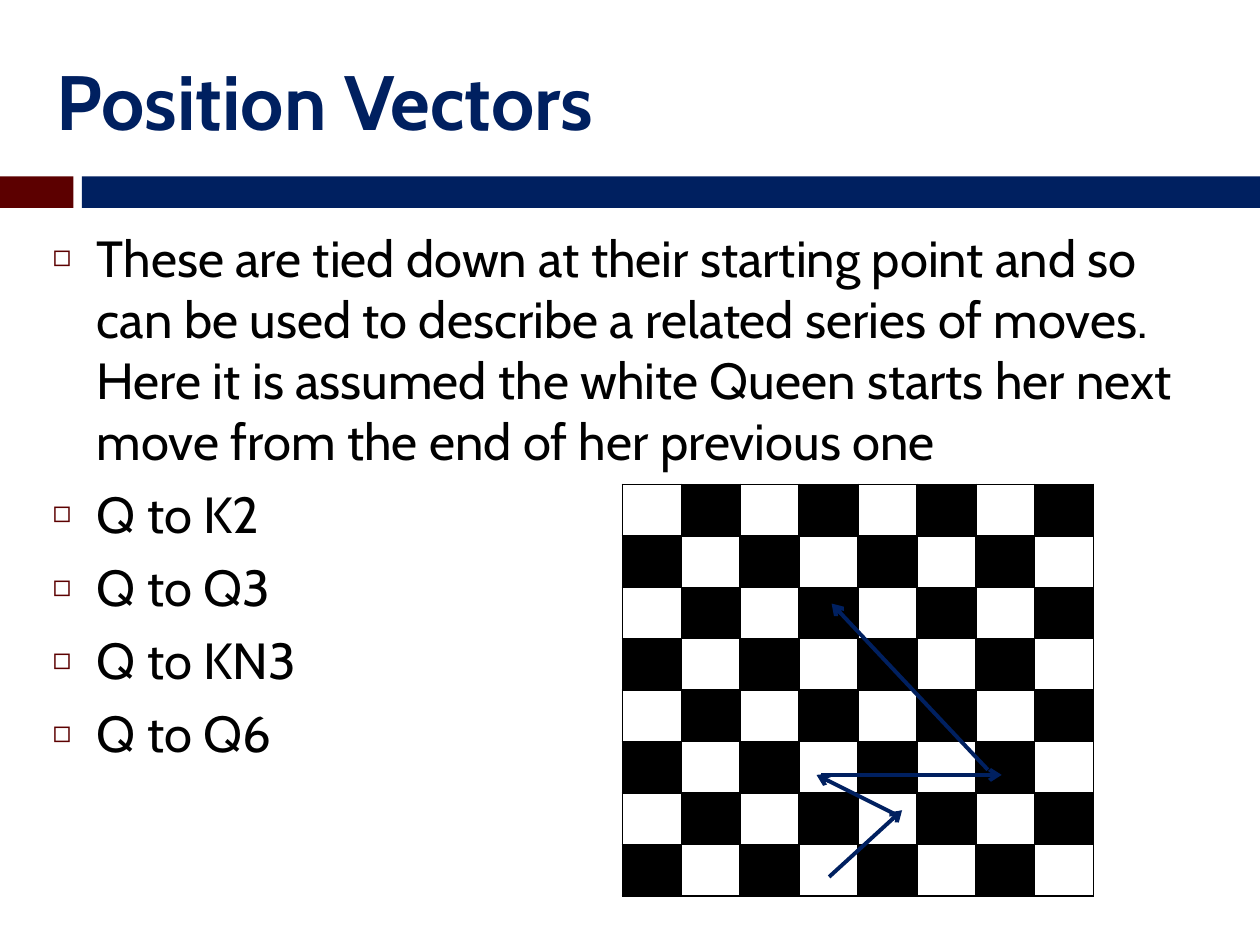
from dataclasses import dataclass
from typing import NamedTuple

from lxml.etree import SubElement
from pptx import Presentation
from pptx.dml.color import RGBColor
from pptx.enum.shapes import MSO_CONNECTOR, MSO_SHAPE
from pptx.enum.text import MSO_ANCHOR, MSO_AUTO_SIZE, PP_ALIGN
from pptx.oxml.ns import qn
from pptx.util import Pt


@dataclass(frozen=True)
class Theme:
    font: str = "Cabin"
    navy: str = "002060"
    maroon: str = "5C0000"
    black: str = "000000"
    white: str = "FFFFFF"
    title_size: float = 44
    body_size: float = 29
    cell_size: float = 8


class Box(NamedTuple):
    left: float
    top: float
    width: float
    height: float

    def points(self) -> list:
        return [Pt(value) for value in self]


class Move(NamedTuple):
    start: tuple[float, float]
    end: tuple[float, float]


THEME = Theme()
PAGE_WIDTH, PAGE_HEIGHT = 720, 540
BAND_TOP, BAND_HEIGHT = 100.8, 18
BANDS = [
    (Box(0, BAND_TOP, 42, BAND_HEIGHT), THEME.maroon),
    (Box(46.8, BAND_TOP, PAGE_WIDTH - 46.8, BAND_HEIGHT), THEME.navy),
]
TITLE_BOX = Box(25.2, 18, 674.64, 77.76)
BODY_BOX = Box(23.04, 126, 677.5, 354.24)
BOARD_BOX = Box(355.7, 276.8, 269.2, 235.2)
SQUARES = 8
INDENT = 25.2
BULLETS = [
    "These are tied down at their starting point and so can be used to describe "
    "a related series of moves. Here it is assumed the white Queen starts her "
    "next move from the end of her previous one",
    "Q to K2",
    "Q to Q3",
    "Q to KN3",
    "Q to Q6",
]
QUEEN_MOVES = [
    Move((473.8, 501.1), (515.5, 463)),
    Move((511.2, 465.1), (466.6, 442.8)),
    Move((469.4, 442.8), (572.4, 442.8)),
    Move((564.5, 439.9), (475.2, 344.9)),
]


def rgb(color: str) -> RGBColor:
    return RGBColor.from_string(color)


def apply_format(target, values: dict) -> None:
    for name, value in values.items():
        setattr(target, name, value)


def add_band(page, box: Box, color: str) -> None:
    band = page.shapes.add_shape(MSO_SHAPE.RECTANGLE, *box.points())
    band.shadow.inherit = False
    band.fill.solid()
    band.fill.fore_color.rgb = rgb(color)
    band.line.fill.background()


def write_span(para, text: str, size: float, color: str, bold: bool) -> None:
    span = para.add_run()
    span.text = text
    apply_format(span.font, {"name": THEME.font, "size": Pt(size), "bold": bold})
    span.font.color.rgb = rgb(color)


def write_title(page, text: str) -> None:
    title = page.shapes.title
    apply_format(title, dict(zip(("left", "top", "width", "height"), TITLE_BOX.points())))
    apply_format(title.text_frame, {
        "vertical_anchor": MSO_ANCHOR.MIDDLE,
        "auto_size": MSO_AUTO_SIZE.NONE,
        "word_wrap": True,
    })
    para = title.text_frame.paragraphs[0]
    para.alignment = PP_ALIGN.LEFT
    write_span(para, text, THEME.title_size, THEME.navy, True)


def add_bullet_mark(para) -> None:
    properties = para._p.get_or_add_pPr()
    properties.set("marL", str(Pt(INDENT)))
    properties.set("indent", str(-Pt(INDENT)))
    color = SubElement(properties, qn("a:buClr"))
    SubElement(color, qn("a:srgbClr"), val=THEME.maroon)
    SubElement(properties, qn("a:buSzPct"), val="60000")
    SubElement(properties, qn("a:buFont"), typeface=THEME.font)
    SubElement(properties, qn("a:buChar"), char="◻")


def add_bullets(page, texts: list[str]) -> None:
    frame = page.shapes.add_textbox(*BODY_BOX.points()).text_frame
    frame.word_wrap = True
    for index, text in enumerate(texts):
        para = frame.add_paragraph() if index else frame.paragraphs[0]
        para.space_before = Pt(7)
        add_bullet_mark(para)
        write_span(para, text, THEME.body_size, THEME.black, False)


def add_cell_borders(cell) -> None:
    """Call before filling the cell: borders precede the fill in its properties."""
    properties = cell._tc.get_or_add_tcPr()
    for side in ("lnL", "lnR", "lnT", "lnB"):
        border = SubElement(properties, qn(f"a:{side}"), w=str(Pt(1)))
        fill = SubElement(border, qn("a:solidFill"))
        SubElement(fill, qn("a:srgbClr"), val=THEME.black)


def add_chessboard(page) -> None:
    board = page.shapes.add_table(SQUARES, SQUARES, *BOARD_BOX.points()).table
    apply_format(board, {"first_row": False, "horz_banding": False})
    for column in board.columns:
        column.width = Pt(BOARD_BOX.width / SQUARES)
    for row_index, row in enumerate(board.rows):
        row.height = Pt(BOARD_BOX.height / SQUARES)
        for column_index, cell in enumerate(row.cells):
            apply_format(cell, {"margin_top": 0, "margin_bottom": 0})
            cell.text_frame.paragraphs[0].font.size = Pt(THEME.cell_size)
            add_cell_borders(cell)
            dark = (row_index + column_index) % 2
            cell.fill.solid()
            cell.fill.fore_color.rgb = rgb(THEME.black if dark else THEME.white)


def add_move_arrow(page, move: Move) -> None:
    ends = [Pt(value) for value in (*move.start, *move.end)]
    arrow = page.shapes.add_connector(MSO_CONNECTOR.STRAIGHT, *ends)
    arrow.line.color.rgb = rgb(THEME.navy)
    arrow.line.width = Pt(2.25)
    SubElement(arrow.line._get_or_add_ln(), qn("a:tailEnd"), type="arrow")
    SubElement(arrow._element.spPr, qn("a:effectLst"))


def main() -> None:
    deck = Presentation()
    apply_format(deck, {"slide_width": Pt(PAGE_WIDTH), "slide_height": Pt(PAGE_HEIGHT)})
    page = deck.slides.add_slide(deck.slide_layouts[5])
    for box, color in BANDS:
        add_band(page, box, color)
    write_title(page, "Position Vectors")
    add_bullets(page, BULLETS)
    add_chessboard(page)
    for move in QUEEN_MOVES:
        add_move_arrow(page, move)
    deck.save("out.pptx")


if __name__ == "__main__":
    main()
